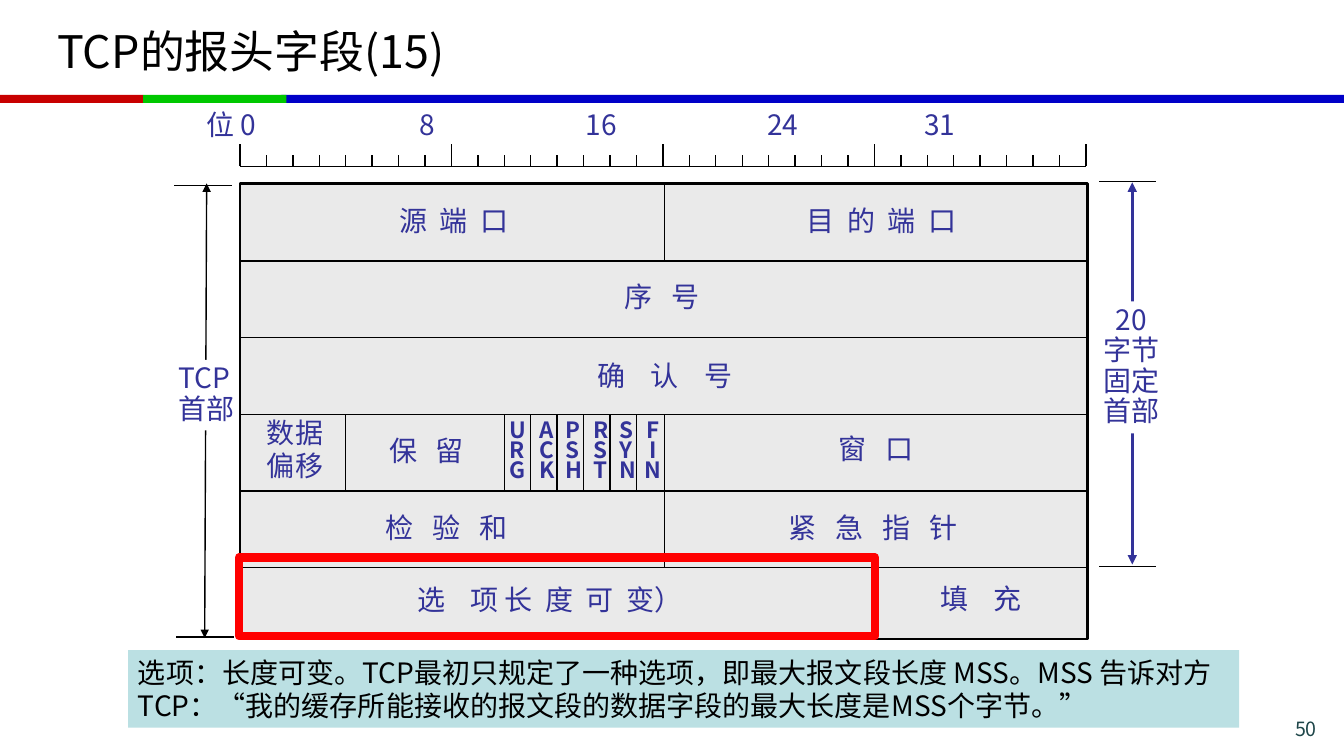
from lxml import etree
from pptx import Presentation
from pptx.dml.color import RGBColor
from pptx.enum.shapes import MSO_CONNECTOR, MSO_SHAPE
from pptx.enum.text import MSO_ANCHOR, PP_ALIGN
from pptx.oxml.ns import qn
from pptx.util import Inches, Pt

RECT, STRAIGHT = MSO_SHAPE.RECTANGLE, MSO_CONNECTOR.STRAIGHT
LEFT, CENTER, RIGHT = PP_ALIGN.LEFT, PP_ALIGN.CENTER, PP_ALIGN.RIGHT
TOP, MIDDLE = MSO_ANCHOR.TOP, MSO_ANCHOR.MIDDLE
FONT = "Noto Sans CJK SC"
BLACK, WHITE = RGBColor(0, 0, 0), RGBColor(255, 255, 255)
INDIGO, GRAY = RGBColor(0x33, 0x33, 0x99), RGBColor(0xEA, 0xEA, 0xEA)
RED, PALE = RGBColor(255, 0, 0), RGBColor(0xBB, 0xE0, 0xE3)
PAGE_INK = RGBColor(0x1E, 0x46, 0x49)

# Content
TITLE = "TCP的报头字段(15)"
NOTE = ("选项：长度可变。TCP最初只规定了一种选项，即最大报文段长度 MSS。MSS 告诉对方TCP："
        "“我的缓存所能接收的报文段的数据字段的最大长度是MSS个字节。”")
PAGE = "50"
BANDS = [  # left, width, colour
    (2.79, 10.54, RGBColor(0, 0, 0xC8)),
    (0, 1.42, RGBColor(0xC8, 0, 0)),
    (1.42, 1.42, RGBColor(0, 0xC8, 0)),
]
BITS = "位 0\t8\t16\t24\t31"
BIT_TABS = [2.11, 3.76, 5.56, 7.12]
FIELDS = [  # left, top, width, [(text, gap in space widths)]
    (3.86, 1.97, 1.37, [("源 端 口", 2)]),
    (7.9, 1.97, 1.82, [("目 的 端 口", 2)]),
    (6.1, 2.72, 1.51, [("序 号", 3)]),
    (5.83, 3.51, 2.01, [("确 认 号", 4)]),
    (3.76, 4.25, 1.01, [("保 留", 3)]),
    (8.22, 4.23, 1.01, [("窗 口", 3)]),
    (3.73, 5.02, 1.54, [("检 验 和", 3)]),
    (7.72, 5.02, 2.06, [("紧 急 指 针", 3)]),
    (4.04, 5.73, 3.5, [("选 ", 4), ("项 ", 1), ("长 度 可 ", 2), ("变）", 1)]),
    (9.23, 5.72, 1.37, [("填 充", 4)]),
]
FLAGS = [("URG", 4.96), ("ACK", 5.25), ("PSH", 5.51),
         ("RST", 5.79), ("SYN", 6.05), ("FIN", 6.29)]

# Geometry
BOX_L, BOX_R, BOX_T, BOX_H = 2.38, 10.79, 1.82, 4.52
ROW = 0.76
ROWS = [2.59 + ROW * i for i in range(5)]
RULER_Y, BIT = 1.65, 8.39 / 32
SPACE = 4.5  # width of a space at 20 pt, in points

prs = Presentation()
prs.slide_width, prs.slide_height = Inches(13.33), Inches(7.5)
s = prs.slides.add_slide(prs.slide_layouts[6])


def rect(x, y, w, h, fill=None, line=None, width=1):
    sp = s.shapes.add_shape(RECT, Inches(x), Inches(y), Inches(w), Inches(h))
    sp.shadow.inherit = False
    if fill is None:
        sp.fill.background()
    else:
        sp.fill.solid()
        sp.fill.fore_color.rgb = fill
    if line is None:
        sp.line.fill.background()
    else:
        sp.line.color.rgb = line
        sp.line.width = Pt(width)
    return sp


def line(x1, y1, x2, y2, color=BLACK, width=1, arrows=False):
    c = s.shapes.add_connector(STRAIGHT, Inches(x1), Inches(y1), Inches(x2), Inches(y2))
    c.line.color.rgb = color
    c.line.width = Pt(width)
    if arrows:
        ln = c.line._get_or_add_ln()
        for end in ("a:headEnd", "a:tailEnd"):
            etree.SubElement(ln, qn(end), type="triangle")
    etree.SubElement(c._element.spPr, qn("a:effectLst"))


def write(sp, lines, size=20, color=INDIGO, align=LEFT, anchor=TOP,
          spacing=None, bold=False, wrap=True, tabs=()):
    tf = sp.text_frame
    tf.word_wrap, tf.vertical_anchor = wrap, anchor
    for i, parts in enumerate(lines):
        p = tf.paragraphs[0] if i == 0 else tf.add_paragraph()
        p.alignment = align
        if spacing:
            p.line_spacing = spacing
        if tabs:
            stops = etree.SubElement(p._p.get_or_add_pPr(), qn("a:tabLst"))
            for pos in tabs:
                etree.SubElement(stops, qn("a:tab"), pos=str(Inches(pos)), algn="l")
        for text, gap in parts:
            r = p.add_run()
            r.text = text
            f = r.font
            f.name, f.size, f.bold, f.color.rgb = FONT, Pt(size), bold, color
            rpr = r._r.get_or_add_rPr()
            etree.SubElement(rpr, qn("a:ea"), typeface=FONT)
            if gap > 1:
                rpr.set("spc", str(round((gap - 1) * SPACE * 50)))


def plain(*texts):
    return [[(text, 1)] for text in texts]


def label(x, y, w, h, lines, **style):
    write(s.shapes.add_textbox(Inches(x), Inches(y), Inches(w), Inches(h)), lines, **style)


# Title and colour band
for x, w, color in BANDS:
    rect(x, 0.94, w, 0.08, color)
label(0.47, 0.08, 12.39, 0.84, plain(TITLE), size=32, color=BLACK, anchor=MIDDLE)

# Length arrows on both sides
line(2.05, 1.82, 2.03, 6.33, arrows=True)
write(rect(1.67, 3.57, 0.76, 0.7, WHITE), plain("TCP", "首部"), spacing=0.9, wrap=False)
line(11.23, 1.81, 11.23, 5.6, INDIGO, 2.25, arrows=True)
write(rect(10.84, 2.99, 0.76, 1.31, WHITE), plain("20", "字节", "固定", "首部"),
      align=CENTER, spacing=0.9, wrap=False)
for x, y in [(10.9, 1.8), (10.9, 5.62), (1.73, 1.84), (1.75, 6.32)]:
    line(x, y, x + 0.57, y)

# Header frame, row lines and column lines
rect(BOX_L, BOX_T, BOX_R - BOX_L, BOX_H, GRAY, BLACK, 2)
for y in ROWS:
    line(BOX_L, y, BOX_R, y)
line(6.59, BOX_T, 6.59, ROWS[0])
line(6.59, ROWS[2], 6.59, ROWS[4])
line(8.67, ROWS[4], 8.67, BOX_T + BOX_H)
for bit in (4, *range(10, 16)):
    x = BOX_L + bit * BIT
    line(x, ROWS[2], x, ROWS[3])

# Bit ruler
line(BOX_L, RULER_Y, BOX_L + 32 * BIT, RULER_Y)
for bit in range(33):
    x = BOX_L + bit * BIT
    line(x, 1.43 if bit % 8 == 0 else 1.54, x, RULER_Y)
label(1.95, 1.02, 9.38, 0.43, plain(BITS), tabs=BIT_TABS)

# Field names
for x, y, w, parts in FIELDS:
    label(x, y, w, 0.43, [parts])
label(2.55, 4.07, 0.76, 0.77, plain("数据", "偏移"), wrap=False)
for flag, x in FLAGS:
    label(x, 4.14, 0.37, 0.71, plain(*flag), size=16, bold=True, spacing=0.75, wrap=False,
          align=CENTER if flag == "FIN" else LEFT)

# Highlight, explanation and page number
rect(2.37, 5.53, 6.31, 0.78, line=RED, width=6)
write(rect(1.27, 6.45, 11.02, 0.77, PALE), plain(NOTE), color=BLACK)
label(11.86, 7.06, 1.3, 0.28, plain(PAGE), size=14, color=PAGE_INK, align=RIGHT)

prs.save("out.pptx")
